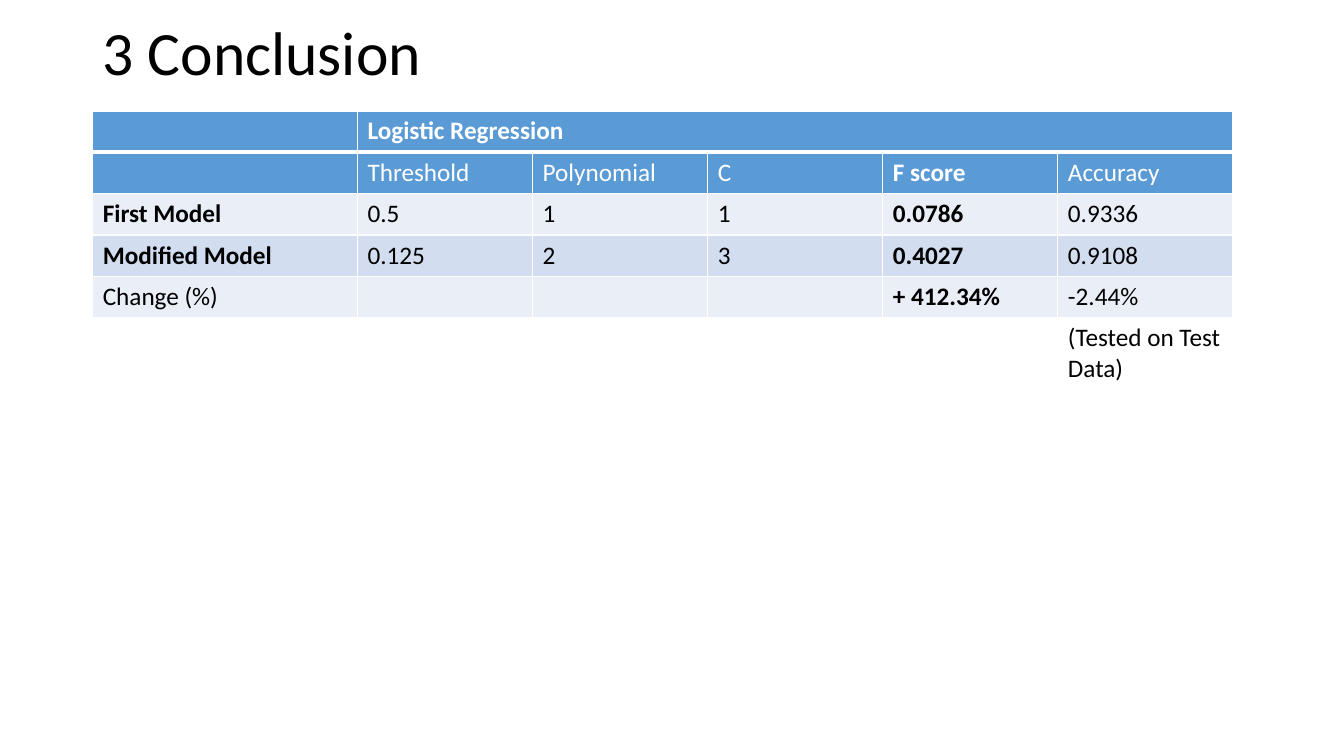
import pptx
import pptx.dml.color
import pptx.enum.text
import pptx.oxml
import pptx.oxml.ns
import pptx.util

HEADER, LIGHT, BAND = "5B9BD5", "EAEFF7", "D2DEEF"
ROW_FILLS = [HEADER, HEADER, LIGHT, BAND, LIGHT, None]
RESULTS = [
    ["", "Logistic Regression", "", "", "", ""],
    ["", "Threshold", "Polynomial", "C", "F score", "Accuracy"],
    ["First Model", "0.5", "1", "1", "0.0786", "0.9336"],
    ["Modified Model", "0.125", "2", "3", "0.4027", "0.9108"],
    ["Change (%)", "", "", "", "+ 412.34%", "-2.44%"],
    ["", "", "", "", "", "(Tested on Test Data)"],
]
BOLD_TEXTS = {"Logistic Regression", "First Model", "Modified Model"}
SCORE_COLUMN = 4


def color(value):
    """Turn a hex string into a colour."""
    return pptx.dml.color.RGBColor.from_string(value)


def write(text_frame, text, size=18, fill="000000", bold=False, spacing=1.0):
    """Write one formatted paragraph into a text frame."""
    paragraph = text_frame.paragraphs[0]
    paragraph.line_spacing = spacing
    paragraph.font.size = pptx.util.Pt(size)
    if text:
        run = paragraph.add_run()
        run.text = text
        run.font.name = "Calibri"
        run.font.size = pptx.util.Pt(size)
        run.font.bold = bold
        run.font.color.rgb = color(fill)


def set_borders(cell, top=1, bottom=1):
    """Draw white borders round a cell, with widths in points."""
    properties = cell._tc.get_or_add_tcPr()
    for side, width in (("L", 1), ("R", 1), ("T", top), ("B", bottom)):
        properties.append(pptx.oxml.parse_xml(
            f'<a:ln{side} {pptx.oxml.ns.nsdecls("a")} w="{pptx.util.Pt(width)}">'
            f'<a:solidFill><a:srgbClr val="FFFFFF"/></a:solidFill></a:ln{side}>'))


class SlideBuilder:
    """Place elements on a slide by percentages of its size."""

    def __init__(self, presentation):
        """Add a blank slide to the presentation."""
        self.width = presentation.slide_width
        self.height = presentation.slide_height
        self.slide = presentation.slides.add_slide(presentation.slide_layouts[6])

    def across(self, percent):
        """Convert a percentage of the slide width to a length."""
        return round(self.width * percent / 100)

    def down(self, percent):
        """Convert a percentage of the slide height to a length."""
        return round(self.height * percent / 100)

    def title(self, text, left, top, width, height):
        """Add the slide title."""
        shape = self.slide.shapes.add_textbox(
            self.across(left), self.down(top), self.across(width), self.down(height))
        shape.text_frame.word_wrap = True
        shape.text_frame.vertical_anchor = pptx.enum.text.MSO_ANCHOR.MIDDLE
        write(shape.text_frame, text, size=44, spacing=0.9)

    def table(self, rows, left, top, column_widths, row_height):
        """Add the table of results."""
        shape = self.slide.shapes.add_table(
            len(rows), len(column_widths), self.across(left), self.down(top),
            self.across(sum(column_widths)), self.down(row_height * len(rows)))
        table = shape.table
        for column, width in zip(table.columns, column_widths):
            column.width = self.across(width)
        for row_index, (texts, fill) in enumerate(zip(rows, ROW_FILLS)):
            table.rows[row_index].height = self.down(row_height)
            for column_index, text in enumerate(texts):
                cell = table.cell(row_index, column_index)
                set_borders(cell, top=3 if row_index == 1 else 1,
                            bottom=3 if row_index == 0 else 1)
                if fill:
                    cell.fill.solid()
                    cell.fill.fore_color.rgb = color(fill)
                else:
                    cell.fill.background()
                write(cell.text_frame, text,
                      fill="FFFFFF" if fill == HEADER else "000000",
                      bold=text in BOLD_TEXTS or column_index == SCORE_COLUMN)
        table.cell(0, 1).merge(table.cell(0, len(column_widths) - 1))


def main():
    """Build and save the presentation."""
    presentation = pptx.Presentation()
    presentation.slide_width = pptx.util.Inches(13.33)
    presentation.slide_height = pptx.util.Inches(7.5)
    builder = SlideBuilder(presentation)
    builder.title("3 Conclusion", left=6.9, top=1.87, width=86.27, height=10.93)
    builder.table(RESULTS, left=6.9, top=14.67,
                  column_widths=[19.7] + [13.03] * 5, row_height=5.47)
    presentation.save("out.pptx")


if __name__ == "__main__":
    main()
